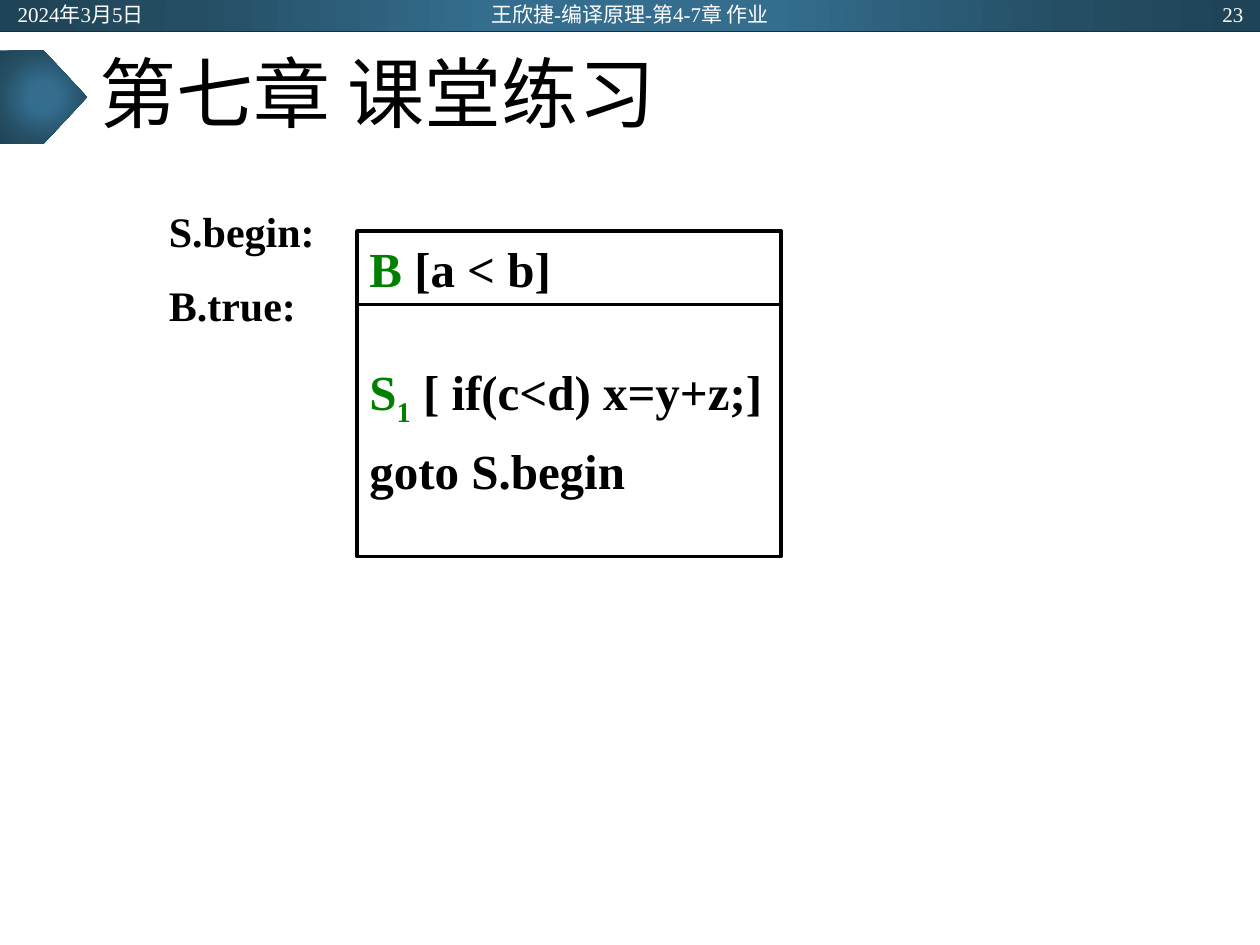
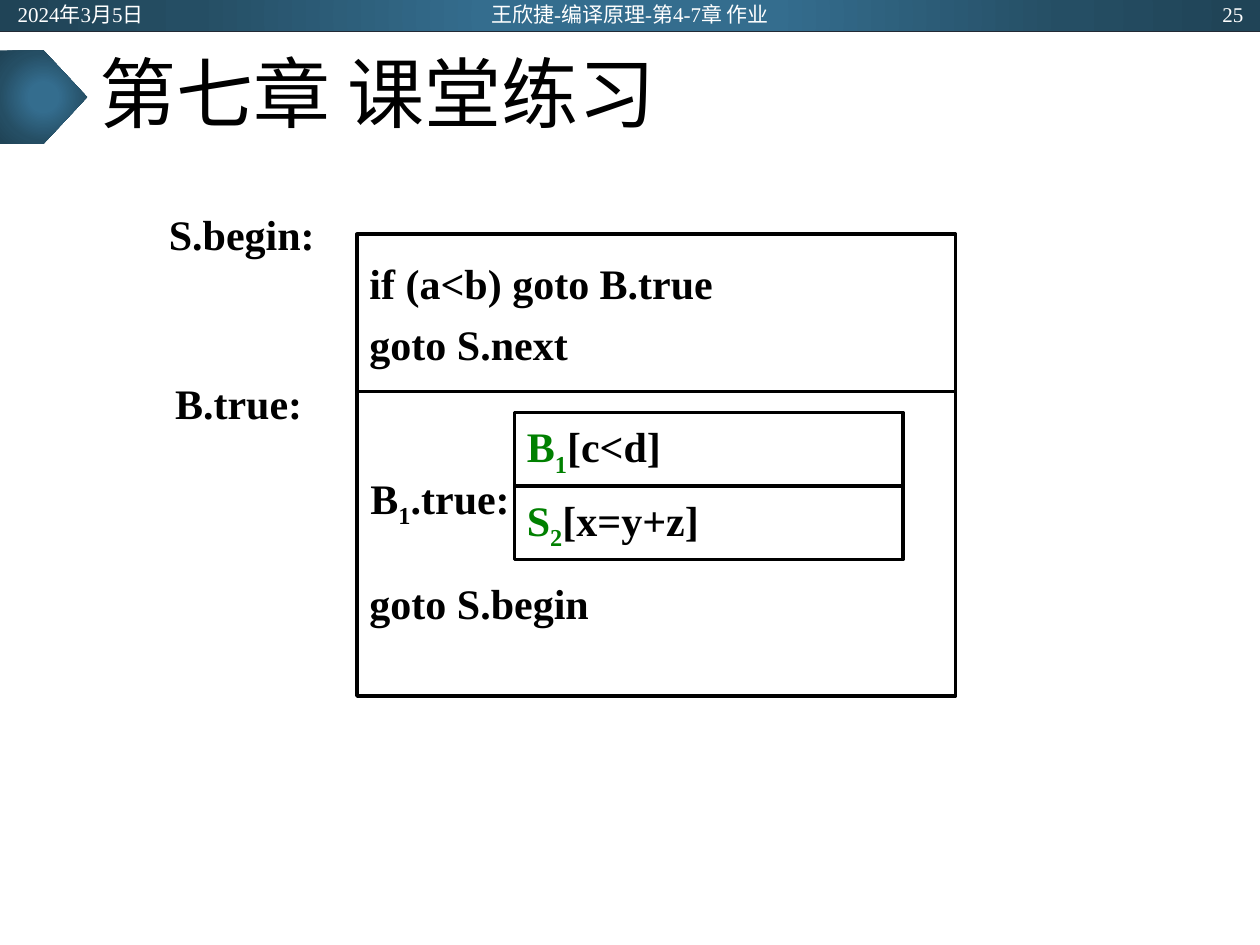
from lxml import etree
from pptx import Presentation
from pptx import util as u
from pptx.dml.color import RGBColor
from pptx.enum import shapes, text
from pptx.oxml import ns, parse_xml

COLUMNS, ROWS = 120, 90
SLIDE_WIDTH, SLIDE_HEIGHT = u.Inches(10), u.Inches(7.5)
FONT = "Times New Roman"
BLACK, WHITE, GREEN, RULE = "000000", "FFFFFF", "008000", "222A35"
GLOW_STOPS = [(0, "346D8E"), (23, "346D8E"), (69, "254E64"), (97, "204457")]
HEADER_ROWS = 3
TITLE = "第七章 课堂练习"
DATE = "2024年3月5日"
COURSE = "王欣捷-编译原理-第4-7章 作业"
LEFT, CENTER, RIGHT = text.PP_ALIGN.LEFT, text.PP_ALIGN.CENTER, text.PP_ALIGN.RIGHT
CODE_LEFT, LABEL_LEFT = 34, 14.9
LABEL_HEIGHT = 6.1
SMALL_BLOCK = 7


def color(value):
    """Turn a hex string into a colour."""
    return RGBColor.from_string(value)


def grid(left, top, width, height):
    """Turn grid columns and rows into slide lengths."""
    return (u.Emu(round(SLIDE_WIDTH * left / COLUMNS)), u.Emu(round(SLIDE_HEIGHT * top / ROWS)),
            u.Emu(round(SLIDE_WIDTH * width / COLUMNS)), u.Emu(round(SLIDE_HEIGHT * height / ROWS)))


def add_run(paragraph, content, size, hex_color=BLACK, bold=False, subscript=False):
    """Add one formatted run."""
    run = paragraph.add_run()
    run.text = content
    run.font.name, run.font.size, run.font.bold = FONT, u.Pt(size), bold
    run.font.color.rgb = color(hex_color)
    if subscript:
        run.font._element.set("baseline", "-25000")


def symbol(name, index="", rest="", hex_color=GREEN):
    """Describe a line made of a symbol, its subscript and the code after it."""
    runs = [(name, hex_color, False), (index, hex_color, True), (rest, BLACK, False)]
    return [run for run in runs if run[0]]


def plain(content):
    """Describe a line of black code."""
    return [(content, BLACK, False)]


def write_code(frame, lines, size):
    """Fill a frame with bold lines of code."""
    for index, line in enumerate(lines):
        paragraph = frame.add_paragraph() if index else frame.paragraphs[0]
        paragraph.alignment = LEFT
        paragraph.space_before = u.Pt(size / 4)
        for content, hex_color, subscript in line:
            add_run(paragraph, content, size, hex_color, True, subscript)


def add_glow(slide, kind, box):
    """Add a shape with the radial blue fill."""
    shape = slide.shapes.add_shape(kind, *grid(*box))
    shape.shadow.inherit = False
    shape.line.fill.background()
    shape.fill.gradient()
    stops = "".join(f'<a:gs pos="{share * 1000}"><a:srgbClr val="{value}"/></a:gs>'
                    for share, value in GLOW_STOPS)
    glow = parse_xml(f'<a:gradFill {ns.nsdecls("a")} rotWithShape="1"><a:gsLst>{stops}</a:gsLst>'
                     '<a:path path="circle"><a:fillToRect l="50000" t="50000" r="50000" b="50000"/>'
                     '</a:path></a:gradFill>')
    properties = shape.element.spPr
    properties.replace(properties.find(ns.qn("a:gradFill")), glow)


def add_rule(slide, row):
    """Add a thin line across the slide."""
    left, top, width, _ = grid(0, row, COLUMNS, 0)
    rule = slide.shapes.add_connector(shapes.MSO_CONNECTOR.STRAIGHT, left, top, left + width, top)
    rule.line.color.rgb, rule.line.width = color(RULE), u.Pt(0.5)
    etree.SubElement(rule.element.spPr, ns.qn("a:effectLst"))


def add_header_text(slide, content, left, width, alignment):
    """Add white text to the header band."""
    frame = slide.shapes.add_textbox(*grid(left, 0.12, width, 2.4)).text_frame
    frame.word_wrap = True
    frame.vertical_anchor = text.MSO_ANCHOR.MIDDLE
    frame.paragraphs[0].alignment = alignment
    add_run(frame.paragraphs[0], content, 12, WHITE)


def add_exercise_slide(presentation, number):
    """Add a slide with the header band, title marker and title."""
    slide = presentation.slides.add_slide(presentation.slide_layouts[5])
    add_glow(slide, shapes.MSO_SHAPE.RECTANGLE, (0, 0, COLUMNS, HEADER_ROWS))
    add_rule(slide, HEADER_ROWS)
    add_glow(slide, shapes.MSO_SHAPE.PENTAGON, (0, 4.8, 8.3, 8.9))
    title = slide.shapes.title
    title.left, title.top, title.width, title.height = grid(8.3, HEADER_ROWS, 103.4, 12.5)
    title.text_frame.vertical_anchor = text.MSO_ANCHOR.MIDDLE
    paragraph = title.text_frame.paragraphs[0]
    paragraph.alignment, paragraph.line_spacing = LEFT, 0.9
    add_run(paragraph, TITLE, 44)
    add_header_text(slide, DATE, 0.5, 27, LEFT)
    add_header_text(slide, COURSE, 39.75, 40.5, CENTER)
    add_header_text(slide, str(number), 92.6, 27, RIGHT)
    return slide


def add_block(parent, box, lines, size, blank_rows=0):
    """Add an outlined code block, with free rows kept above its text."""
    shape = parent.shapes.add_shape(shapes.MSO_SHAPE.RECTANGLE, *grid(*box))
    shape.shadow.inherit = False
    shape.fill.background()
    shape.line.color.rgb, shape.line.width = color(BLACK), u.Pt(2)
    frame = shape.text_frame
    frame.word_wrap = True
    frame.vertical_anchor = text.MSO_ANCHOR.MIDDLE
    frame.margin_top = u.Inches(0.05) + grid(0, 0, 0, blank_rows)[3]
    write_code(frame, lines, size)


def add_stack(parent, left, top, width, blocks, size):
    """Add code blocks directly below each other."""
    for height, lines, blank_rows in blocks:
        add_block(parent, (left, top, width, height), lines, size, blank_rows)
        top += height


def add_label(parent, left, top, width, line):
    """Add a jump label."""
    frame = parent.shapes.add_textbox(*grid(left, top, width, LABEL_HEIGHT)).text_frame
    frame.word_wrap = False
    write_code(frame, [line], 24)


def add_outline_slide(presentation):
    """Add the slide with the loop's condition and body."""
    slide = add_exercise_slide(presentation, 23)
    body = [symbol("S", "1", " [ if(c<d) x=y+z;]"), plain("goto S.begin")]
    blocks = [(SMALL_BLOCK, [symbol("B", rest=" [a < b]")], 0), (24, body, 0)]
    add_stack(slide, CODE_LEFT, 22, 40.4, blocks, 28)
    add_label(slide, LABEL_LEFT, 19, 16.4, plain("S.begin:"))
    add_label(slide, LABEL_LEFT, 26, 14.6, plain("B.true:"))


def add_expansion_slide(presentation):
    """Add the slide with the condition expanded and the body nested."""
    slide = add_exercise_slide(presentation, 25)
    condition = [plain("if (a<b) goto B.true"), plain("goto S.next")]
    blocks = [(15, condition, 0), (29, [plain("goto S.begin")], 11.25)]
    add_stack(slide, CODE_LEFT, 22.3, 57, blocks, 24)
    add_label(slide, LABEL_LEFT, 19.3, 16.4, plain("S.begin:"))
    add_label(slide, 15.5, 35.4, 14.6, plain("B.true:"))
    nested = slide.shapes.add_group_shape()
    inner_blocks = [(SMALL_BLOCK, [symbol("B", "1", "[c<d]")], 0),
                    (SMALL_BLOCK, [symbol("S", "2", "[x=y+z]")], 0)]
    add_stack(nested, 49, 39.3, 37, inner_blocks, 24)
    add_label(nested, 34.1, 44.4, 16, symbol("B", "1", ".true:", BLACK))


def main():
    """Build and save the presentation."""
    presentation = Presentation()
    presentation.slide_width, presentation.slide_height = SLIDE_WIDTH, SLIDE_HEIGHT
    add_outline_slide(presentation)
    add_expansion_slide(presentation)
    presentation.save("out.pptx")


if __name__ == "__main__":
    main()
